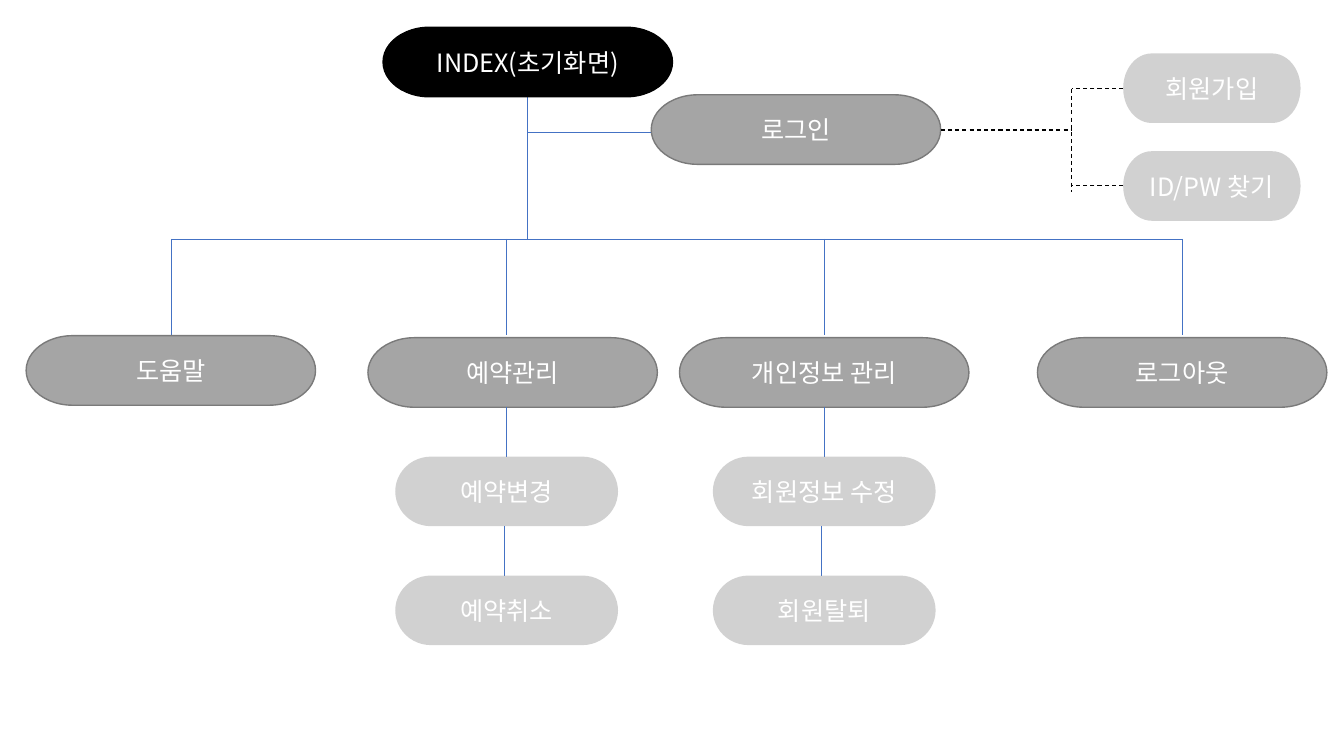
from lxml import etree
from pptx import Presentation
from pptx.dml.color import RGBColor
from pptx.enum import dml, shapes, text
from pptx.oxml import ns
from pptx.util import Inches, Pt

FONT = "Noto Sans CJK KR"
COLORS = {"black": "000000", "gray": "A5A5A5", "edge": "7A7A7A",
          "blue": "4472C4", "white": "FFFFFF"}
NODE_H = 0.69
MENU_W, SUB_W, ACCOUNT_W = 2.87, 2.21, 1.76

prs = Presentation()
prs.slide_width, prs.slide_height = Inches(13.33), Inches(7.5)
s = prs.slides.add_slide(prs.slide_layouts[6])


def add_node(label, left, top, width, fill="gray", edge=None):
    """Add a terminator; without an edge it is half transparent."""
    sp = s.shapes.add_shape(shapes.MSO_SHAPE.FLOWCHART_TERMINATOR, Inches(left),
                            Inches(top), Inches(width), Inches(NODE_H))
    sp.shadow.inherit = False
    sp.fill.solid()
    sp.fill.fore_color.rgb = RGBColor.from_string(COLORS[fill])
    if edge:
        sp.line.color.rgb = RGBColor.from_string(COLORS[edge])
        sp.line.width = Pt(1)
    else:
        sp.line.fill.background()
        color = sp._element.spPr.find(ns.qn("a:solidFill"))[0]
        etree.SubElement(color, ns.qn("a:alpha"), val="50000")
    tf = sp.text_frame
    tf.text = label
    tf.vertical_anchor = text.MSO_ANCHOR.MIDDLE
    p = tf.paragraphs[0]
    p.alignment = text.PP_ALIGN.CENTER
    r = p.runs[0]
    r.font.size = Pt(18)
    r.font.name = FONT
    r.font.color.rgb = RGBColor.from_string(COLORS["white"])
    etree.SubElement(r.font._element, ns.qn("a:ea"), typeface=FONT)


def add_link(x1, y1, x2, y2, dashed=False):
    """Add a blue tree line, or a dashed black one."""
    cn = s.shapes.add_connector(shapes.MSO_CONNECTOR.STRAIGHT, Inches(x1),
                                Inches(y1), Inches(x2), Inches(y2))
    cn.line.color.rgb = RGBColor.from_string(COLORS["black" if dashed else "blue"])
    cn.line.width = Pt(0.75 if dashed else 0.5)
    if dashed:
        cn.line.dash_style = dml.MSO_LINE.DASH
    etree.SubElement(cn._element.spPr, ns.qn("a:effectLst"))


# Index page with its trunk and the branch to login
index_x, bus_y = 5.23, 2.37
add_link(index_x, 0.95, index_x, bus_y)
add_link(index_x, 1.31, 6.46, 1.31)
add_node("INDEX(초기화면)", 3.8, 0.27, MENU_W, "black", "black")
add_node("로그인", 6.46, 0.94, MENU_W, edge="edge")

# Account pages beside login
fork_x, account_x = 10.63, 11.14
add_link(9.33, 1.29, fork_x, 1.29, dashed=True)
add_link(fork_x, 0.88, fork_x, 1.9, dashed=True)
for label, top in [("회원가입", 0.53), ("ID/PW 찾기", 1.5)]:
    mid_y = top + NODE_H / 2
    add_link(account_x, mid_y, fork_x, mid_y, dashed=True)
    add_node(label, account_x, top, ACCOUNT_W)

# Main menu under a shared horizontal line
menus = [("도움말", 0.26, 3.33, 1.7), ("예약관리", 3.65, 3.35, 5.02),
         ("개인정보 관리", 6.74, 3.35, 8.18), ("로그아웃", 10.29, 3.35, 11.73)]
add_link(menus[0][3], bus_y, menus[-1][3], bus_y)
for label, left, top, drop_x in menus:
    add_link(drop_x, bus_y, drop_x, 3.32)
    add_node(label, left, top, MENU_W, edge="edge")

# Submenus stacked below the two middle menus
sub_top, step, gap = 4.53, 1.18, 0.49
submenus = [(3.92, (5.02, 5.0), ("예약변경", "예약취소")),
            (7.07, (8.18, 8.15), ("회원정보 수정", "회원탈퇴"))]
for left, link_xs, labels in submenus:
    for i, (x, label) in enumerate(zip(link_xs, labels)):
        top = sub_top + i * step
        add_link(x, top - gap, x, top)
        add_node(label, left, top, SUB_W)

prs.save("out.pptx")
